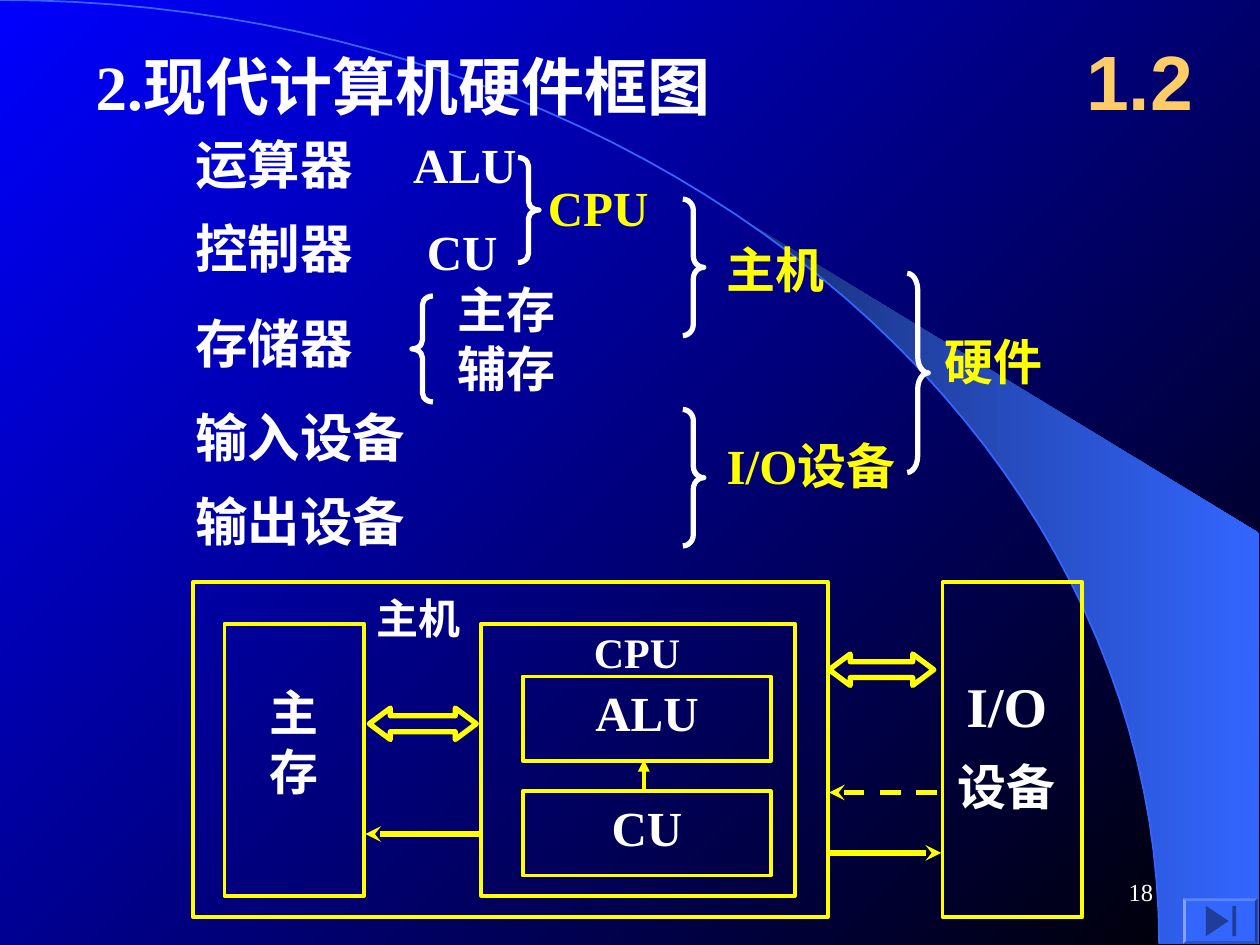
import math

import pptx
import pptx.dml.color
import pptx.enum.dml
import pptx.enum.shapes
import pptx.enum.text
import pptx.oxml
import pptx.oxml.ns
import pptx.util

Pt = pptx.util.Pt
Shape = pptx.enum.shapes.MSO_SHAPE
Align = pptx.enum.text.PP_ALIGN
Anchor = pptx.enum.text.MSO_ANCHOR
AutoSize = pptx.enum.text.MSO_AUTO_SIZE
WHITE, YELLOW, BLUE = "FFFFFF", "FFFF00", "3366FF"
ARC_WIDTH, ARC_HEIGHT = 662.4, 539.3


def set_color(color_format, value):
    color_format.rgb = pptx.dml.color.RGBColor.from_string(value)


def set_gradient(fill, start, end, angle):
    fill.gradient()
    fill.gradient_angle = angle
    for stop, position, value in zip(fill.gradient_stops, (0, 1), (start, end)):
        stop.position = position
        set_color(stop.color, value)


def add_xml(parent, tag, **attributes):
    element = pptx.oxml.parse_xml(f"<a:{tag} {pptx.oxml.ns.nsdecls('a')}/>")
    for name, value in attributes.items():
        element.set(name, value)
    parent.append(element)


def write_text(shape, text, size=28, color=WHITE, font="Times New Roman", bold=True,
               align=Align.LEFT, anchor=Anchor.TOP, margins=(7.2, 3.6), wrap=True,
               grow=True, gap=0):
    frame = shape.text_frame
    frame.auto_size = AutoSize.SHAPE_TO_FIT_TEXT if grow else AutoSize.NONE
    frame.word_wrap = wrap
    frame.vertical_anchor = anchor
    frame.margin_left = frame.margin_right = Pt(margins[0])
    frame.margin_top = frame.margin_bottom = Pt(margins[1])
    lines = text.split("\n")
    sizes = size if isinstance(size, tuple) else (size,) * len(lines)
    for index, (line, line_size) in enumerate(zip(lines, sizes)):
        paragraph = frame.add_paragraph() if index else frame.paragraphs[0]
        paragraph.alignment = align
        paragraph.space_before = Pt(gap if index else 0)
        run = paragraph.add_run()
        run.text = line
        run.font.size = Pt(line_size)
        run.font.bold = bold
        run.font.name = font
        set_color(run.font.color, color)
        add_xml(run.font._element, "ea", typeface="Noto Sans CJK SC")


def arc_points(start_x, steps=48):
    start = math.asin(start_x / ARC_WIDTH)
    angles = [start + (math.pi / 2 - start) * step / steps for step in range(steps + 1)]
    return [(ARC_WIDTH * math.sin(angle), ARC_HEIGHT * (1 - math.cos(angle)))
            for angle in angles]


class Canvas:
    def __init__(self, slide, line_color=YELLOW, line_width=2.13):
        self.slide = slide
        self.line_color = line_color
        self.line_width = line_width

    def text(self, text, left, top, width, height, **style):
        shape = self.slide.shapes.add_textbox(Pt(left), Pt(top), Pt(width), Pt(height))
        write_text(shape, text, **style)

    def title(self, text, left, top, width, height, **style):
        shape = self.slide.shapes.title
        shape.left, shape.top, shape.width, shape.height = map(Pt, (left, top, width, height))
        write_text(shape, text, **style)
        shape.element.getparent().append(shape.element)

    def outline(self, kind, left, top, width, height, color=None, weight=None, adjust=()):
        shape = self.slide.shapes.add_shape(kind, Pt(left), Pt(top), Pt(width), Pt(height))
        shape.shadow.inherit = False
        shape.fill.background()
        set_color(shape.line.color, color or self.line_color)
        shape.line.width = Pt(weight or self.line_width)
        for index, value in enumerate(adjust):
            shape.adjustments[index] = value
        return shape

    def solid(self, kind, left, top, width, height, color, adjust=()):
        shape = self.outline(kind, left, top, width, height, adjust=adjust)
        shape.fill.solid()
        set_color(shape.fill.fore_color, color)
        shape.line.fill.background()
        return shape

    def brace(self, kind, left, top, height, width=12):
        self.outline(kind, left, top, width, height, WHITE, 3, (height / 12 / width, 0.5))

    def freeform(self, points, close):
        points = [(Pt(x), Pt(y)) for x, y in points]
        builder = self.slide.shapes.build_freeform(*points[0])
        builder.add_line_segments(points[1:], close=close)
        shape = builder.convert_to_shape()
        shape.shadow.inherit = False
        return shape

    def arrow(self, start, end, weight=3, head="stealth", dashed=False):
        connector = self.slide.shapes.add_connector(
            pptx.enum.shapes.MSO_CONNECTOR.STRAIGHT, *map(Pt, (*start, *end)))
        set_color(connector.line.color, self.line_color)
        connector.line.width = Pt(weight)
        if dashed:
            connector.line.dash_style = pptx.enum.dml.MSO_LINE.DASH
        add_xml(connector.line._get_or_add_ln(), "tailEnd", type=head)
        add_xml(connector.element.spPr, "effectLst")


def draw_background(canvas):
    set_gradient(canvas.slide.background.fill, "0000FF", "000000", 315)
    wedge = canvas.freeform(arc_points(424) + [(719.3, 539.3), (719.3, 304.6)], True)
    set_gradient(wedge.fill, "182F76", BLUE, 0)
    wedge.line.fill.background()
    arc = canvas.freeform(arc_points(0), False)
    arc.fill.background()
    set_color(arc.line.color, BLUE)
    arc.line.width = Pt(1)


def draw_classification(canvas):
    units = [("运算器", 72, 167), ("控制器", 120.2, 147.6), ("存储器", 174.2, 141.8),
             ("输入设备", 228.2, 219.6), ("输出设备", 275.8, 226)]
    for name, top, width in units:
        canvas.text(name, 104.4, top, width, 43.2, size=30)
    canvas.text("ALU", 229, 73.4, 73.4, 41, wrap=False)
    canvas.text("CU", 236.9, 123.1, 54.7, 41, wrap=False)
    canvas.text("主存\n辅存", 254.2, 156.2, 105.8, 81.4)
    groups = [("CPU", 306, 97.9, 72), ("主机", 408.2, 133.2, 93.6),
              ("I/O设备", 408.2, 245.5, 139), ("硬件", 532.8, 185.8, 110.2)]
    for name, left, top, width in groups:
        canvas.text(name, left, top, width, 41, color=YELLOW, wrap=name != "CPU")
    canvas.brace(Shape.LEFT_BRACE, 235.4, 169.2, 60.5)
    for left, top, height in [(296, 90, 60), (390.2, 113.8, 78),
                              (390.2, 234, 78), (518.4, 156.2, 113.8)]:
        canvas.brace(Shape.RIGHT_BRACE, left, top, height)


def draw_block_diagram(canvas):
    for left, top, width, height in [(110.2, 332.6, 362.9, 191.5), (538.6, 332.6, 79.9, 191.5),
                                     (128.2, 356.4, 79.9, 155.5), (275, 356.4, 179.3, 155.5)]:
        canvas.outline(Shape.RECTANGLE, left, top, width, height)
    for name, top in [("ALU", 386.6), ("CU", 452.2)]:
        box = canvas.outline(Shape.RECTANGLE, 298.8, top, 141.8, 48.2)
        write_text(box, name, align=Align.CENTER, grow=False)
    canvas.text("主机", 215.3, 338.4, 48.2, 28.8, size=24, margins=(0, 0), wrap=False)
    canvas.text("CPU", 339.1, 357.8, 49.7, 28.8, size=24, margins=(0, 0), align=Align.CENTER)
    canvas.text("主\n存", 146.9, 386.6, 42.5, 81.4, align=Align.CENTER, wrap=False)
    canvas.text("I/O\n设备", 536.4, 380.2, 77.8, 97.2, size=(32, 28), align=Align.CENTER, gap=10)
    canvas.arrow((367.9, 452.2), (367.9, 434.2), 2.25, "triangle")
    canvas.arrow((473.8, 487.4), (537.8, 487.4))
    canvas.arrow((275, 476.6), (208.8, 476.6))
    canvas.arrow((535.7, 452.9), (473.8, 452.9), dashed=True)
    for left, top, width in [(211, 404.6, 61.2), (473.8, 373.7, 59.8)]:
        canvas.outline(Shape.LEFT_RIGHT_ARROW, left, top, width, 18, weight=3, adjust=(0.5, 0.67))


def draw_navigation(canvas):
    canvas.solid(Shape.BEVEL, 676.1, 513.4, 42.5, 25.9, BLUE, (0.06,))
    triangle = canvas.solid(Shape.ISOSCELES_TRIANGLE, 687, 519.8, 17.3, 13, "1F3D99")
    triangle.rotation = 90
    canvas.solid(Shape.RECTANGLE, 704.2, 517.7, 2.2, 17.3, "1F3D99")
    canvas.text("18", 516.2, 491.8, 149.8, 36, size=14, bold=False, align=Align.RIGHT,
                anchor=Anchor.MIDDLE, grow=False)


def main():
    presentation = pptx.Presentation()
    presentation.slide_width, presentation.slide_height = Pt(720), Pt(540)
    canvas = Canvas(presentation.slides.add_slide(presentation.slide_layouts[5]))
    draw_background(canvas)
    canvas.title("2.现代计算机硬件框图", 47.5, 23.8, 456.5, 50.4, size=36)
    canvas.text("1.2", 606.2, 12.2, 90, 66.2, size=44, color="FFCC66", font="Arial",
                align=Align.CENTER, anchor=Anchor.MIDDLE, grow=False)
    draw_classification(canvas)
    draw_block_diagram(canvas)
    draw_navigation(canvas)
    presentation.save("out.pptx")


if __name__ == "__main__":
    main()
